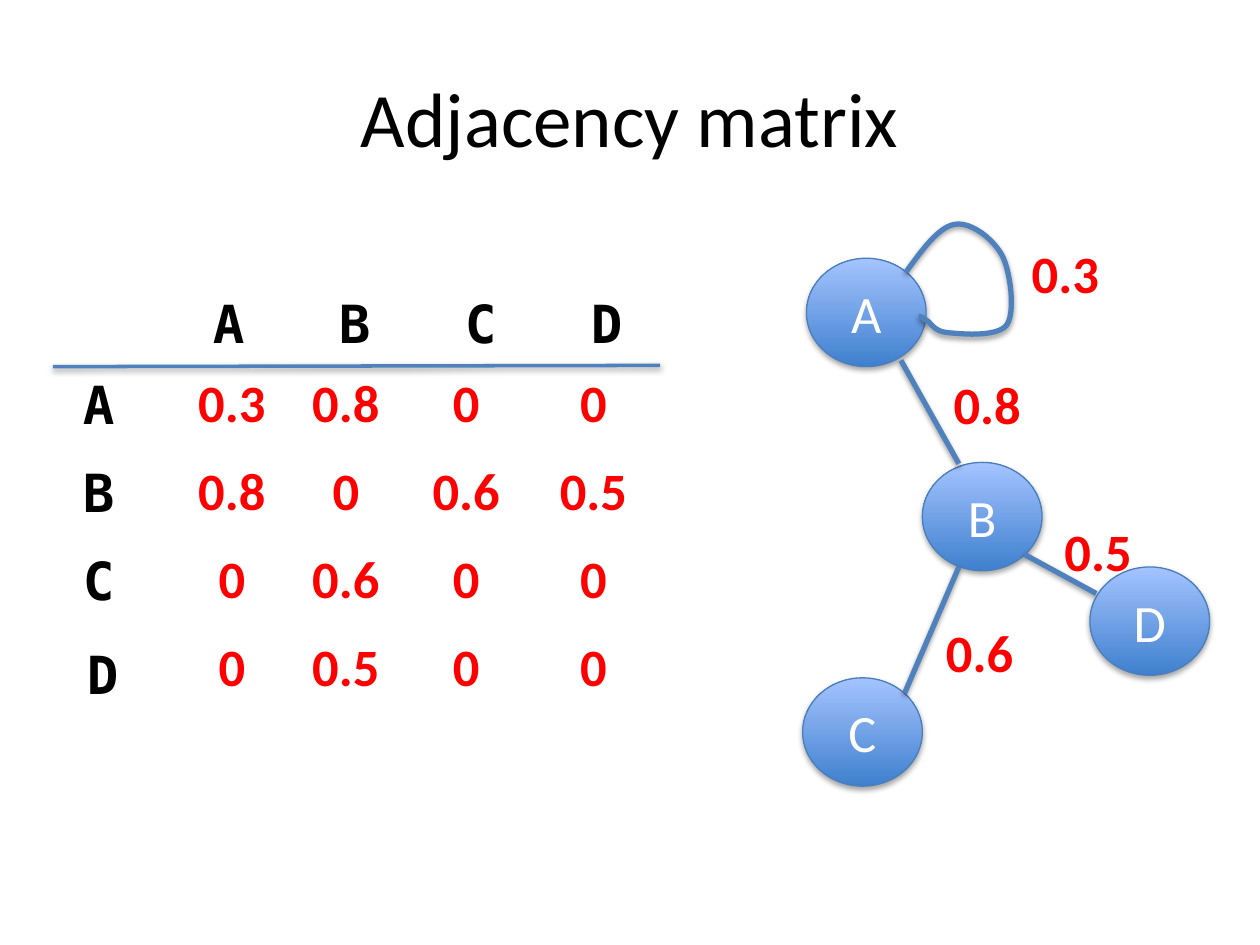
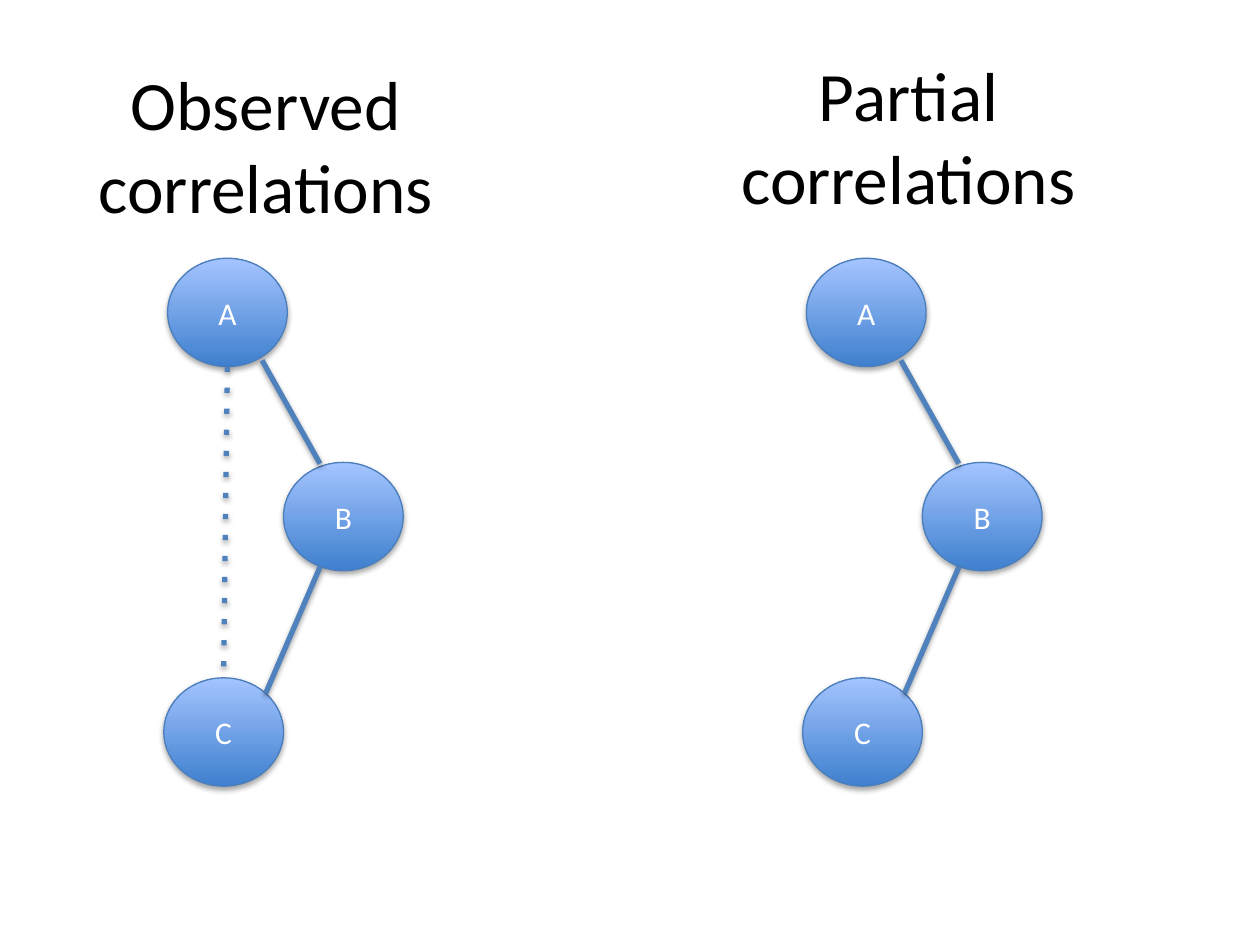
from lxml import etree
from pptx import Presentation, util as u
from pptx.dml.color import RGBColor
from pptx.enum import shapes as sh, text as tx
from pptx.oxml import ns

# Content: node places and edge ends are inches from the left of a graph
NODES = {"A": (0.03, 2.05), "B": (0.95, 3.67), "C": (0, 5.38), "D": (2.28, 4.5)}
EDGES = {
    "AB": ((0.78, 2.86), (1.24, 3.68)),
    "BC": ((1.24, 4.5), (0.81, 5.5)),
    "DB": ((2.33, 4.71), (1.76, 4.4)),
}
WEIGHTS = [("0.8", 7.47, 2.9), ("0.3", 8.09, 1.86), ("0.5", 8.35, 4.07), ("0.6", 7.41, 4.87)]
MATRIX = [
    ["0.3", "0.8", "0", "0"],
    ["0.8", "0", "0.6", "0.5"],
    ["0", "0.6", "0", "0"],
    ["0", "0.5", "0", "0"],
]
COLS = [0.96, 0.85, 1.06, 0.96]
ROW = 0.7
LABELS = [("A", 0.56, 2.9), ("B", 0.56, 3.6), ("C", 0.56, 4.3), ("D", 0.59, 5.05)]
# Self loop of A: start, then two handles and an end for each curve
LOOP = [
    (7.19, 2.16),
    (7.32, 1.98), (7.45, 1.8), (7.58, 1.78),
    (7.71, 1.76), (7.89, 1.9), (7.96, 2.04),
    (8.02, 2.17), (8.06, 2.48), (7.99, 2.58),
    (7.91, 2.68), (7.62, 2.65), (7.52, 2.64),
    (7.41, 2.63), (7.39, 2.56), (7.35, 2.54),
    (7.31, 2.51), (7.29, 2.51), (7.29, 2.51),
]
LEFT, RIGHT = 1.3, 6.37
NODE_W, NODE_H = 0.95, 0.86

# Shared style
BLACK = RGBColor(0, 0, 0)
WHITE = RGBColor(255, 255, 255)
RED = RGBColor(255, 0, 0)
LINE = RGBColor(0x4F, 0x81, 0xBD)
RIM = RGBColor(0x4B, 0x7E, 0xBC)
DARK = RGBColor(0x3F, 0x80, 0xCE)
LIGHT = RGBColor(0xA4, 0xC4, 0xFF)
SANS, MONO = "Calibri", "DejaVu Sans Mono"
NO_STYLE = "{2D5ABB26-0587-4C30-8999-92F81FD0307C}"


def inch(*vals):
    return [u.Inches(v) for v in vals]


def put(frame, words, size, color, font=SANS, bold=False, center=True):
    frame.text = words
    para = frame.paragraphs[0]
    para.alignment = tx.PP_ALIGN.CENTER if center else tx.PP_ALIGN.LEFT
    run = para.runs[0].font
    run.size, run.name, run.bold = u.Pt(size), font, bold
    run.color.rgb = color


def add_box(slide, words, at, size, color, wrap=True, mid=False, **look):
    frame = slide.shapes.add_textbox(*inch(*at)).text_frame
    frame.word_wrap = wrap
    if mid:
        frame.vertical_anchor = tx.MSO_ANCHOR.MIDDLE
    put(frame, words, size, color, center=mid, **look)


def add_title(slide, words, at, size):
    add_box(slide, words, at, size, BLACK, mid=True)


def shade(shape, dist, alpha):
    """Soft shadow straight below; call after fill and line are set."""
    sub = etree.SubElement
    fx = sub(shape._element.spPr, ns.qn("a:effectLst"))
    cast = sub(fx, ns.qn("a:outerShdw"), blurRad="40000", dist=str(dist),
               dir="5400000", rotWithShape="0")
    tint = sub(cast, ns.qn("a:srgbClr"), val="000000")
    sub(tint, ns.qn("a:alpha"), val=str(alpha * 1000))


def stroke(shape, width, dotted=False):
    shape.line.color.rgb = LINE
    shape.line.width = u.Pt(width)
    if dotted:
        etree.SubElement(shape.line._ln, ns.qn("a:prstDash"), val="dot")
    shade(shape, 20000, 38)


def add_line(slide, start, end, width=3, dotted=False):
    link = slide.shapes.add_connector(sh.MSO_CONNECTOR.STRAIGHT, *inch(*start, *end))
    stroke(link, width, dotted)


def add_node(slide, name, left, size):
    x, y = NODES[name]
    node = slide.shapes.add_shape(sh.MSO_SHAPE.OVAL, *inch(left + x, y, NODE_W, NODE_H))
    node.fill.gradient()
    node.fill.gradient_angle = 90
    for stop, color in zip(node.fill.gradient_stops, (DARK, LIGHT)):
        stop.color.rgb = color
    node.line.color.rgb = RIM
    node.line.width = u.Pt(0.75)
    shade(node, 23000, 35)
    node.text_frame.vertical_anchor = tx.MSO_ANCHOR.MIDDLE
    put(node.text_frame, name, size, WHITE)


def add_edge(slide, name, left):
    add_line(slide, *[(left + x, y) for x, y in EDGES[name]])


def add_graph(slide, left, size):
    for name in "ABC":
        add_node(slide, name, left, size)
    for name in ("AB", "BC"):
        add_edge(slide, name, left)


def add_loop(slide, steps=12):
    dots = []
    for i in range(0, len(LOOP) - 1, 3):
        for k in range(1, steps + 1):
            t = k / steps
            mix = ((1 - t) ** 3, 3 * t * (1 - t) ** 2, 3 * t * t * (1 - t), t ** 3)
            dots.append(inch(*[sum(m * p[d] for m, p in zip(mix, LOOP[i:i + 4]))
                               for d in (0, 1)]))
    pen = slide.shapes.build_freeform(*inch(*LOOP[0]))
    pen.add_line_segments(dots, close=False)
    loop = pen.convert_to_shape()
    loop.fill.background()
    stroke(loop, 3)


def add_matrix(slide):
    size = len(MATRIX)
    frame = slide.shapes.add_table(size, size, *inch(1.36, 2.86, sum(COLS), ROW * size))
    grid = frame.table
    grid.first_row = grid.horz_banding = False
    grid._tbl.tblPr.find(ns.qn("a:tableStyleId")).text = NO_STYLE
    for col, width in zip(grid.columns, COLS):
        col.width = u.Inches(width)
    for r, row in enumerate(MATRIX):
        grid.rows[r].height = u.Inches(ROW)
        for c, value in enumerate(row):
            cell = grid.cell(r, c)
            cell.fill.background()
            cell.vertical_anchor = tx.MSO_ANCHOR.MIDDLE
            put(cell.text_frame, value, 30, RED, bold=True)


def make_matrix(slide):
    add_title(slide, "Adjacency matrix", (0.5, 0.3, 9, 1.25), 44)
    # Weighted graph
    add_graph(slide, RIGHT, 30)
    add_edge(slide, "DB", RIGHT)
    add_node(slide, "D", RIGHT, 30)
    add_loop(slide)
    for words, x, y in WEIGHTS:
        add_box(slide, words, (x, y, 0.74, 0.61), 30, RED, wrap=False, bold=True)
    # Matrix with its row and column names
    heads = "\t\t".join(name for name, _, _ in LABELS)
    add_box(slide, heads, (1.59, 2.26, 3.82, 0.61), 30, BLACK, font=MONO, bold=True)
    for name, x, y in LABELS:
        add_box(slide, name, (x, y, 1.22, 0.61), 30, BLACK, font=MONO, bold=True)
    add_matrix(slide)
    add_line(slide, (0.42, 2.91), (5.24, 2.9), 2)


def make_pair(slide):
    add_title(slide, "Partial correlations", (5.39, 0.45, 3.64, 1.25), 39.6)
    add_title(slide, "Observed correlations", (0.29, 0.52, 3.64, 1.25), 39.6)
    for left in (RIGHT, LEFT):
        add_graph(slide, left, 18)
    # Indirect link from the foot of A to the top of C
    (ax, ay), (cx, cy) = NODES["A"], NODES["C"]
    mid = LEFT + NODE_W / 2
    add_line(slide, (mid + ax, ay + NODE_H), (mid + cx, cy), dotted=True)


def main():
    deck = Presentation()
    deck.slide_width, deck.slide_height = inch(10, 7.5)
    for make in (make_matrix, make_pair):
        make(deck.slides.add_slide(deck.slide_layouts[6]))
    deck.save("out.pptx")


if __name__ == "__main__":
    main()
